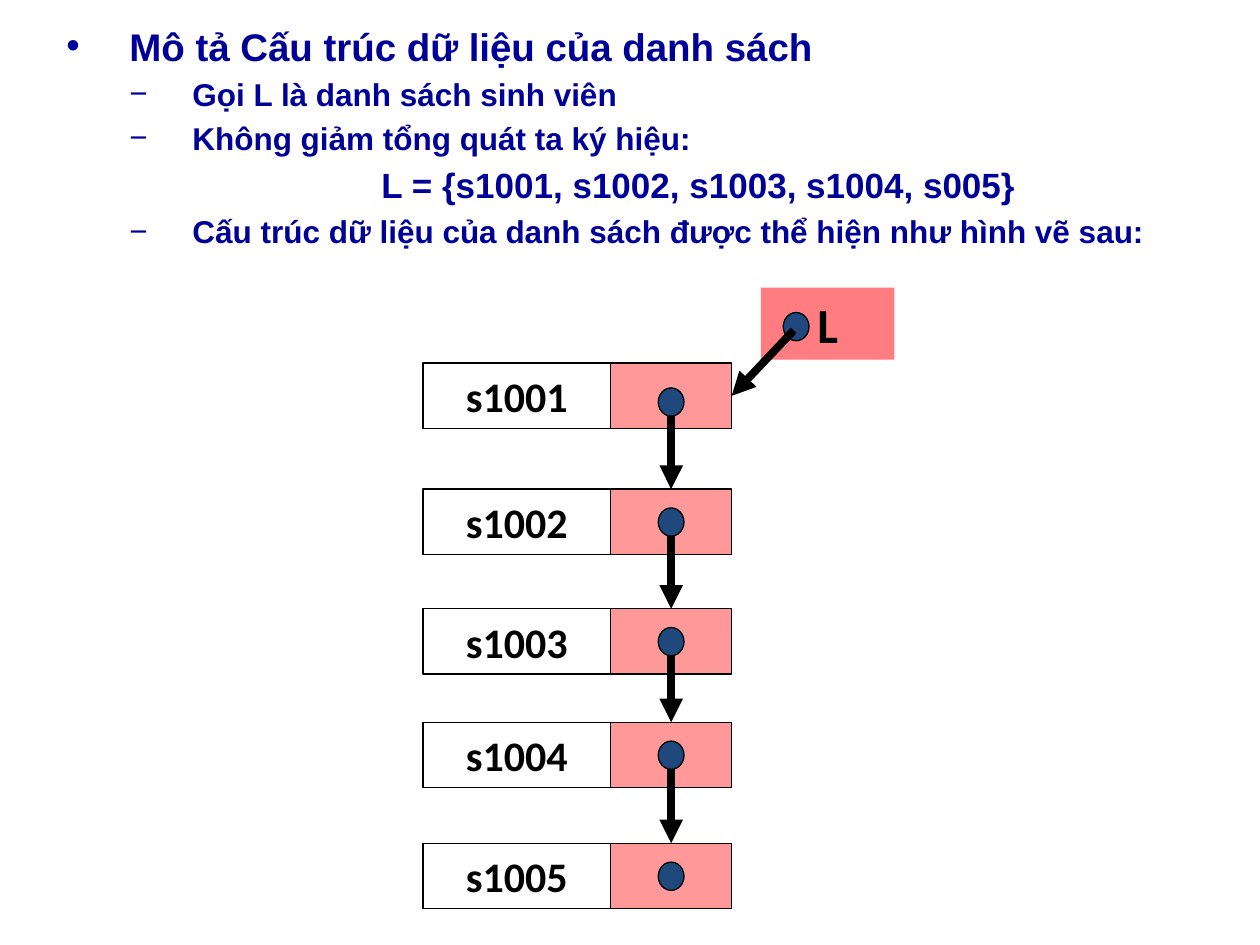
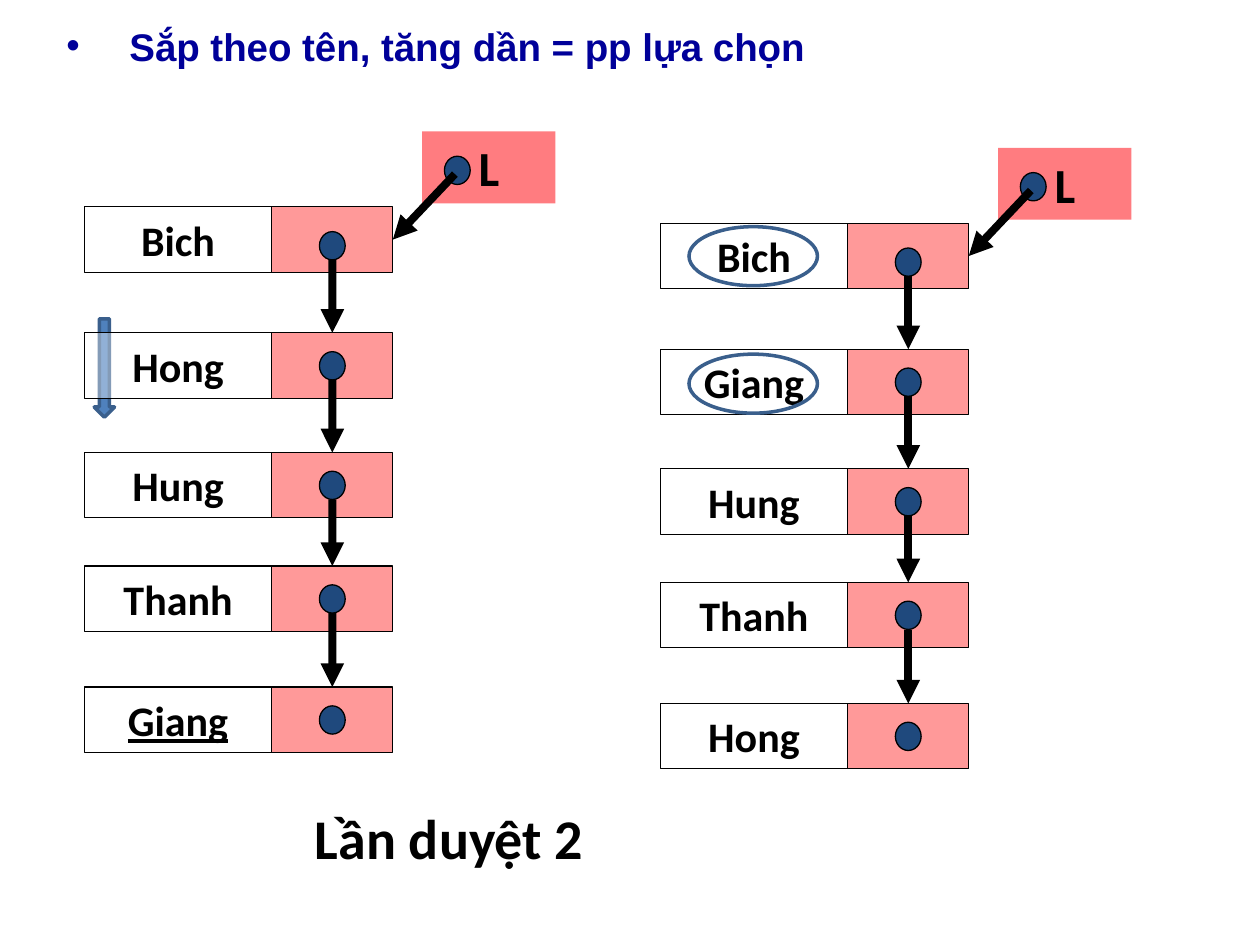
from lxml import etree
from pptx import Presentation
from pptx import util as u
from pptx.dml.color import RGBColor
from pptx.enum import shapes, text
from pptx.oxml import ns

Cm, Pt = u.Cm, u.Pt
NAVY = RGBColor(0x00, 0x00, 0x99)
BLACK = RGBColor(0x00, 0x00, 0x00)
WHITE = RGBColor(0xFF, 0xFF, 0xFF)
RED = RGBColor(0xFF, 0x00, 0x00)
PINK = RGBColor(0xFF, 0x7C, 0x80)
DOT_BLUE = RGBColor(0x1F, 0x49, 0x7D)
ARROW_BLUE = RGBColor(0x4F, 0x81, 0xBD)
MARK_BLUE = RGBColor(0x3A, 0x5F, 0x8C)

RECT, OVAL = shapes.MSO_SHAPE.RECTANGLE, shapes.MSO_SHAPE.OVAL
ROW_TOPS = (0, 2.54, 4.95, 7.24, 9.68)
NAME_W, LINK_W, ROW_H = 3.78, 2.44, 1.32
DOT_W, DOT_H = 0.52, 0.57
DOT_X = NAME_W + (LINK_W - DOT_W) / 2


def add_shape(s, kind, x, y, w, h, fill=None, line=BLACK, width=0.75, alpha=None):
    """Add a plain shape; lengths in cm, alpha is opacity in percent."""
    sp = s.shapes.add_shape(kind, Cm(x), Cm(y), Cm(w), Cm(h))
    sp.shadow.inherit = False
    if fill is None:
        sp.fill.background()
    else:
        sp.fill.solid()
        sp.fill.fore_color.rgb = fill
    if alpha:
        color = sp.fill._xPr.find(".//" + ns.qn("a:srgbClr"))
        etree.SubElement(color, ns.qn("a:alpha"), val=str(alpha * 1000))
    if line is None:
        sp.line.fill.background()
    else:
        sp.line.color.rgb = line
        sp.line.width = Pt(width)
    return sp


def draw_linked_list(s, x, y, names, underlined=None):
    """Draw the nodes, the head L and the arrows; x, y is the first node's corner."""
    labels, links = [], []
    for i, (name, top) in enumerate(zip(names, ROW_TOPS)):
        cell = add_shape(s, RECT, x, y + top, NAME_W, ROW_H, WHITE, alpha=38)
        labels.append((cell, name, 24))
        links.append(add_shape(s, RECT, x + NAME_W, y + top, LINK_W, ROW_H, RED, alpha=40))
        dot_y = y + top + (0.5 if i == 0 else 0.38)
        add_shape(s, OVAL, x + DOT_X, dot_y, DOT_W, DOT_H, DOT_BLUE)

    head = add_shape(s, RECT, x + 6.81, y - 1.52, 2.69, 1.45, PINK, line=None)
    labels.append((head, "L", 28))
    add_shape(s, OVAL, x + 7.26, y - 1.02, DOT_W, DOT_H, DOT_BLUE)

    for sp, label, size in labels:
        tf = sp.text_frame
        tf.vertical_anchor = text.MSO_ANCHOR.MIDDLE
        p = tf.paragraphs[0]
        p.alignment = text.PP_ALIGN.CENTER
        if sp is head:
            p.alignment = text.PP_ALIGN.LEFT
            tf.margin_left = Cm(1.14)
        r = p.add_run()
        r.text = label
        r.font.name, r.font.size, r.font.bold = "Calibri", Pt(size), True
        r.font.color.rgb = BLACK
        if label == underlined:
            r.font.underline = True

    # Each arrow: start point, the link cell it reaches, and the side it joins
    arrows = [(x + 7.47, y - 0.66, links[0], 3)]
    for i, target in enumerate(links[1:]):
        start_y = y + ROW_TOPS[i] + (1.07 if i == 0 else 0.95)
        arrows.append((x + DOT_X + DOT_W / 2, start_y, target, 0))
    for start_x, start_y, target, side in arrows:
        c = s.shapes.add_connector(shapes.MSO_CONNECTOR.STRAIGHT,
                                   Cm(start_x), Cm(start_y), Cm(start_x), Cm(start_y))
        c.end_connect(target, side)
        c.line.color.rgb = BLACK
        c.line.width = Pt(4.5)
        etree.SubElement(c.line._get_or_add_ln(), ns.qn("a:tailEnd"), type="triangle")
        etree.SubElement(c._element.spPr, ns.qn("a:effectLst"))


prs = Presentation()
prs.slide_width, prs.slide_height = Cm(25.4), Cm(19.05)

# Heading lines: text, size, level, left indent (cm), bullet
headings = [
    (5.16, [
        ("Mô tả Cấu trúc dữ liệu của danh sách", 22, 0, 1.27, "•"),
        ("Gọi L là danh sách sinh viên", 18, 1, 2.54, "−"),
        ("Không giảm tổng quát ta ký hiệu:", 18, 1, 2.54, "−"),
        ("L = {s1001, s1002, s1003, s1004, s005}", 20, 1, 6.35, None),
        ("Cấu trúc dữ liệu của danh sách được thể hiện như hình vẽ sau:", 18, 1, 2.54, "−"),
    ]),
    (1.47, [("Sắp theo tên, tăng dần = pp lựa chọn", 22, 0, 1.27, "•")]),
]
slides = []
for height, lines in headings:
    s = prs.slides.add_slide(prs.slide_layouts[6])
    slides.append(s)
    tf = s.shapes.add_textbox(Cm(1.09), Cm(0.33), Cm(23.39), Cm(height)).text_frame
    tf.word_wrap = True
    for i, (line, size, level, indent, bullet) in enumerate(lines):
        p = tf.add_paragraph() if i else tf.paragraphs[0]
        p.level = level
        p.alignment = text.PP_ALIGN.JUSTIFY
        if i:
            p.space_before = Pt(0.2 * size)
        pPr = p._p.get_or_add_pPr()
        pPr.set("marL", str(Cm(indent)))
        pPr.set("indent", str(-Cm(1.27) if bullet else 0))
        if bullet:
            etree.SubElement(pPr, ns.qn("a:buFont"), typeface="Arial")
            etree.SubElement(pPr, ns.qn("a:buChar"), char=bullet)
        r = p.add_run()
        r.text = line
        r.font.name, r.font.size, r.font.bold = "Arial", Pt(size), True
        r.font.color.rgb = NAVY

# Slide 1: the student list
list_slide, sort_slide = slides
draw_linked_list(list_slide, 8.53, 7.32, [f"s{n}" for n in range(1001, 1006)])

# Slide 2: second pass of the selection sort
tf = sort_slide.shapes.add_textbox(Cm(6.1), Cm(16.08), Cm(11.71), Cm(1.63)).text_frame
tf.word_wrap = True
r = tf.paragraphs[0].add_run()
r.text = "Lần duyệt 2"
r.font.name, r.font.size, r.font.bold = "Calibri", Pt(32), True
r.font.color.rgb = BLACK

draw_linked_list(sort_slide, 13.31, 4.5, ["Bich", "Giang", "Hung", "Thanh", "Hong"])
add_shape(sort_slide, shapes.MSO_SHAPE.DOWN_ARROW, 1.9, 6.43, 0.41, 1.98,
          ARROW_BLUE, MARK_BLUE, 2)
for ring_y in (4.57, 7.14):
    add_shape(sort_slide, OVAL, 13.89, ring_y, 2.59, 1.19, None, MARK_BLUE, 2)
draw_linked_list(sort_slide, 1.7, 4.17, ["Bich", "Hong", "Hung", "Thanh", "Giang"],
                 underlined="Giang")

prs.save("out.pptx")
